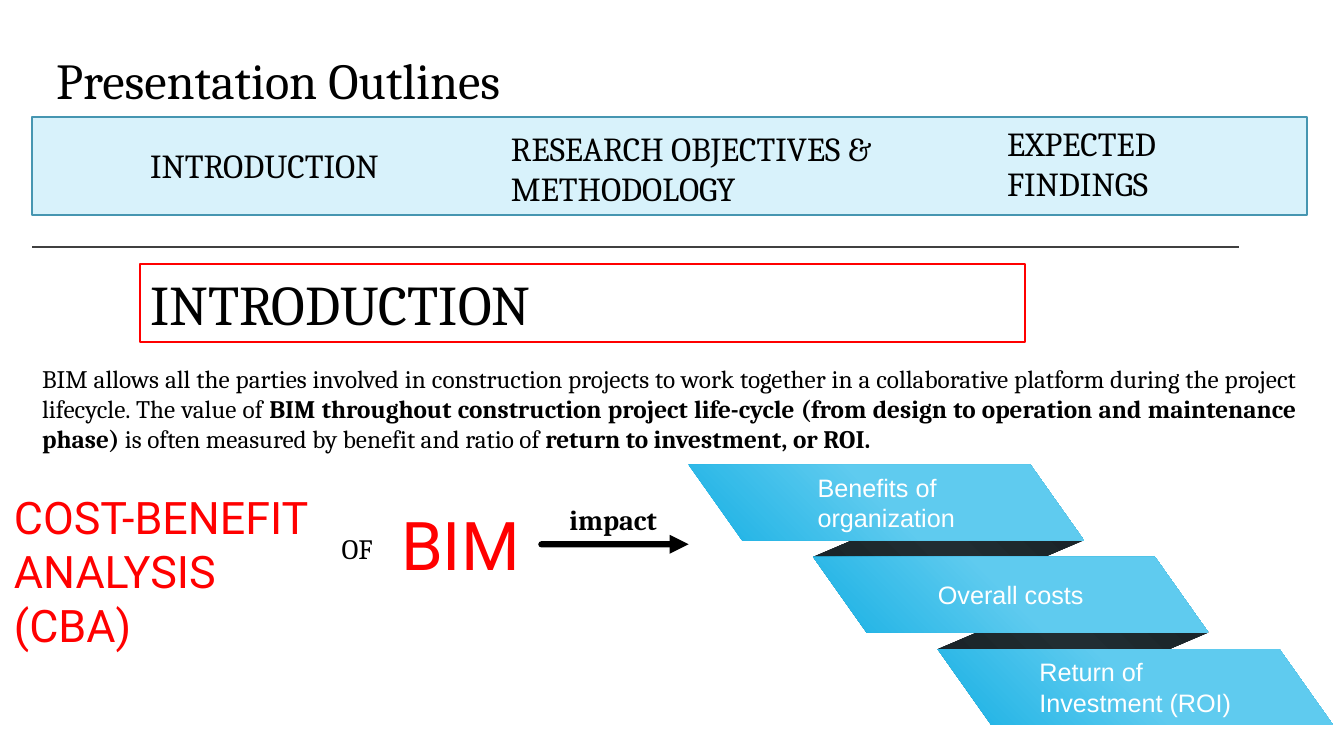
from copy import deepcopy

from pptx import Presentation
from pptx.dml.color import RGBColor
from pptx.enum.shapes import MSO_CONNECTOR as CONNECTOR, MSO_SHAPE as SHAPE
from pptx.enum.text import MSO_ANCHOR as ANCHOR, PP_ALIGN as ALIGN
from pptx.oxml.ns import qn
from pptx.util import Inches, Pt
from lxml.etree import SubElement

BLACK = RGBColor(0x00, 0x00, 0x00)
WHITE = RGBColor(0xFF, 0xFF, 0xFF)
RED = RGBColor(0xFF, 0x00, 0x00)
RULE_GRAY = RGBColor(0x40, 0x40, 0x40)
BAR_FILL = RGBColor(0x9F, 0xE0, 0xF5)
BAR_EDGE = RGBColor(0x46, 0x96, 0xB1)
RIBBON_BLUE = RGBColor(0x17, 0xB0, 0xE4)
RIBBON_LIGHT = RGBColor(0x5F, 0xCB, 0xEF)
FOLD_DARK = RGBColor(0x16, 0x1E, 0x22)
FOLD_LIGHT = RGBColor(0x21, 0x2D, 0x32)

BODY_FONT = "Cambria"
ACCENT_FONT = "Roboto"
RIBBON_FONT = "Arial"


def write(frame, runs, size, font=BODY_FONT, color=BLACK, align=ALIGN.LEFT, anchor=ANCHOR.TOP):
    """Fill a text frame with one paragraph of (text, bold) runs."""
    frame.word_wrap = True
    frame.vertical_anchor = anchor
    paragraph = frame.paragraphs[0]
    paragraph.alignment = align
    for text, bold in runs:
        run = paragraph.add_run()
        run.text = text
        run.font.size = Pt(size)
        run.font.name = font
        run.font.bold = bold
        run.font.color.rgb = color


def add_label(slide, box, text, size, bold=False, **style):
    label = slide.shapes.add_textbox(*map(Inches, box))
    write(label.text_frame, [(text, bold)], size, **style)
    return label


def add_frame(slide, box, edge, width):
    frame = slide.shapes.add_shape(SHAPE.RECTANGLE, *map(Inches, box))
    frame.shadow.inherit = False
    frame.fill.background()
    frame.line.color.rgb = edge
    frame.line.width = Pt(width)
    return frame


def add_line(slide, start, end, color, width):
    line = slide.shapes.add_connector(CONNECTOR.STRAIGHT, *map(Inches, start + end))
    line.line.color.rgb = color
    line.line.width = Pt(width)
    SubElement(line._element.spPr, qn("a:effectLst"))
    return line


def add_gradient_outline(slide, points, first, middle, mirrored=False):
    """Draw a closed outline shaded from its lower left, optionally back to the first colour."""
    corners = [(Inches(x), Inches(y)) for x, y in points]
    builder = slide.shapes.build_freeform(*corners[0])
    builder.add_line_segments(corners[1:], close=True)
    outline = builder.convert_to_shape()
    outline.shadow.inherit = False
    outline.line.fill.background()
    outline.fill.gradient()
    outline.fill.gradient_angle = 45
    stops = outline.fill.gradient_stops
    for stop, color, position in zip(stops, (first, middle), (0, 0.5)):
        stop.color.rgb = color
        stop.position = position
    if mirrored:
        stop_list = next(outline._element.iter(qn("a:gsLst")))
        last = deepcopy(stop_list[0])
        last.set("pos", "100000")
        stop_list.append(last)
    return outline


def add_outline_bar(slide, box):
    left, top, _, _ = box
    bar = add_frame(slide, box, BAR_EDGE, 1.5)
    bar.fill.solid()
    bar.fill.fore_color.rgb = BAR_FILL
    color = next(bar._element.spPr.find(qn("a:solidFill")).iter(qn("a:srgbClr")))
    SubElement(color, qn("a:alpha")).set("val", "40000")
    for dx, dy, width, topic in (
        (1.07, 0.23, 2.8, "INTRODUCTION"),
        (4.65, 0.06, 4.13, "RESEARCH OBJECTIVES & METHODOLOGY"),
        (9.57, 0.01, 2.8, "EXPECTED FINDINGS"),
    ):
        add_label(slide, (left + dx, top + dy, width, 0.91), topic, 24)


def add_introduction(slide, box):
    left, top, width, _ = box
    heading = add_frame(slide, (left + 1.07, top, 8.78, 0.77), RED, 1.25)
    write(heading.text_frame, [("INTRODUCTION", False)], 40, anchor=ANCHOR.MIDDLE)
    body = slide.shapes.add_textbox(*map(Inches, (left, top + 0.93, width, 1.01)))
    write(body.text_frame, [
        ("BIM allows all the parties involved in construction projects to work together in a "
         "collaborative platform during the project lifecycle. The value of ", False),
        ("BIM throughout construction project life-cycle (from design to operation and "
         "maintenance phase) ", True),
        ("is often measured by benefit and ratio of ", False),
        ("return to investment, or ROI. ", True),
    ], 18, align=ALIGN.JUSTIFY)


def add_impact_statement(slide, box):
    left, top, width, _ = box
    accent = {"font": ACCENT_FONT, "color": RED}
    add_label(slide, (left, top, 3.43, 1.18), "COST-BENEFIT ANALYSIS (CBA)", 32, **accent)
    add_label(slide, (left + 3.25, top + 0.41, 1.1, 0.44), "OF", 20)
    bim = add_label(slide, (left + 3.84, top + 0.13, 1.49, 0.92), "BIM", 48, **accent)
    arrow_y = top + 0.59
    arrow = add_line(slide, (left + 5.33, arrow_y), (left + width, arrow_y), BLACK, 4.5)
    arrow.begin_connect(bim, 3)
    stroke = arrow.line._get_or_add_ln()
    stroke.set("cap", "rnd")
    SubElement(stroke, qn("a:tailEnd")).set("type", "triangle")
    add_label(slide, (left + 5.51, top + 0.13, 1.1, 0.44), "impact", 20, bold=True)


def add_ribbon(slide, box):
    """Stack slanted bands down to the right, joined by dark folds behind them."""
    left, top, width, height = box
    outcomes = ("Benefits of organization", "Overall costs", "Return of Investment (ROI)")
    band_width, band_height, slant = 3.92, 0.75, 0.53
    edge = band_width - slant
    step_x = (width - band_width) / (len(outcomes) - 1)
    step_y = (height - band_height) / (len(outcomes) - 1)
    corners = [(left + i * step_x, top + i * step_y) for i in range(len(outcomes))]

    for x, y in reversed(corners[:-1]):
        fold = [(x + edge, y), (x + band_width, y + band_height),
                (x + step_x + slant, y + step_y + band_height), (x + step_x, y + step_y)]
        add_gradient_outline(slide, fold, FOLD_DARK, FOLD_LIGHT, mirrored=True)

    for (x, y), outcome in zip(corners, outcomes):
        band = [(x, y), (x + edge, y), (x + band_width, y + band_height),
                (x + slant, y + band_height)]
        frame = add_gradient_outline(slide, band, RIBBON_BLUE, RIBBON_LIGHT).text_frame
        frame.margin_left = frame.margin_right = Inches(1)
        frame.margin_top = frame.margin_bottom = Inches(0.1)
        write(frame, [(outcome, False)], 18, RIBBON_FONT, WHITE, anchor=ANCHOR.MIDDLE)
        frame._txBody.bodyPr.set("anchorCtr", "1")


def main():
    deck = Presentation()
    deck.slide_width, deck.slide_height = Inches(13.33), Inches(7.5)
    slide = deck.slides.add_slide(deck.slide_layouts[6])
    add_label(slide, (0.46, 0.36, 11.43, 0.86), "Presentation Outlines", 36, anchor=ANCHOR.MIDDLE)
    add_outline_bar(slide, (0.32, 1.16, 12.64, 0.97))
    add_line(slide, (0.32, 2.45), (12.29, 2.45), RULE_GRAY, 1)
    add_introduction(slide, (0.32, 2.62, 12.64, 1.94))
    add_impact_statement(slide, (0.04, 4.81, 6.79, 1.18))
    add_ribbon(slide, (6.83, 4.61, 6.39, 2.58))
    deck.save("out.pptx")


if __name__ == "__main__":
    main()
